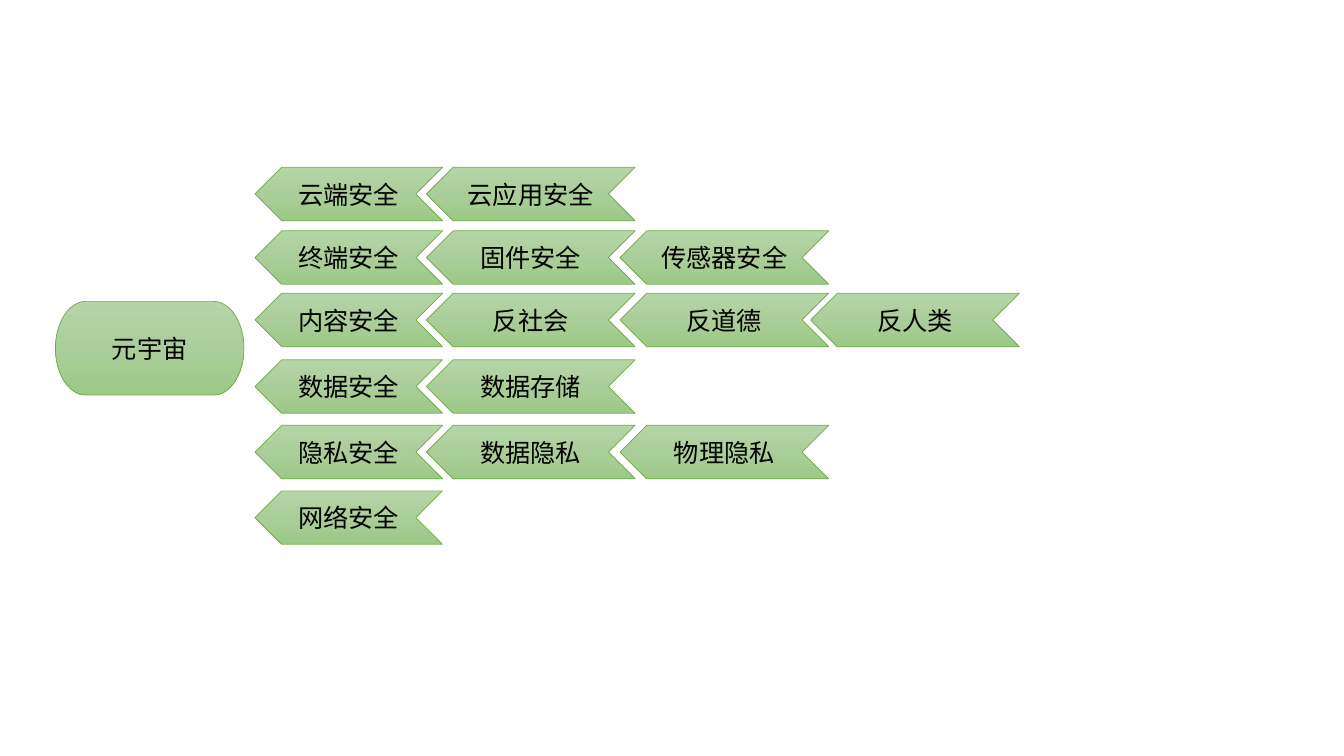
import copy

import pptx
import pptx.dml.color
import pptx.enum.shapes
import pptx.enum.text
import pptx.util

RGBColor = pptx.dml.color.RGBColor
Inches = pptx.util.Inches
Shapes = pptx.enum.shapes.MSO_SHAPE

BLACK = RGBColor(0x00, 0x00, 0x00)
GREEN_LINE = RGBColor(0x70, 0xAD, 0x47)
GREEN_STOPS = [
    (0, RGBColor(0xB5, 0xD5, 0xA7)),
    (0.5, RGBColor(0xAA, 0xCE, 0x9A)),
    (1, RGBColor(0x9C, 0xC9, 0x87)),
]
FONT_FORMAT = {"name": "Calibri", "size": pptx.util.Pt(18)}
FRAME_FORMAT = {
    "word_wrap": True,
    "vertical_anchor": pptx.enum.text.MSO_ANCHOR.MIDDLE,
}


def fill_green(shape):
    """Give a shape the three-stop green gradient, light at the top."""
    shape.fill.gradient()
    shape.fill.gradient_angle = 270
    stop_list = shape._element.spPr.xpath(".//a:gsLst")[0]
    stop_list.insert(1, copy.deepcopy(stop_list[0]))
    for stop, (position, color) in zip(shape.fill.gradient_stops, GREEN_STOPS):
        stop.position = position
        stop.color.rgb = color


def add_label(slide, kind, left, top, width, height, text):
    """Add a green shape with centred black text and return it."""
    shape = slide.shapes.add_shape(
        kind, Inches(left), Inches(top), Inches(width), Inches(height)
    )
    shape.shadow.inherit = False
    fill_green(shape)
    shape.line.color.rgb = GREEN_LINE
    shape.line.width = pptx.util.Pt(0.5)
    for name, value in FRAME_FORMAT.items():
        setattr(shape.text_frame, name, value)
    para = shape.text_frame.paragraphs[0]
    para.alignment = pptx.enum.text.PP_ALIGN.CENTER
    span = para.add_run()
    span.text = text
    for name, value in FONT_FORMAT.items():
        setattr(span.font, name, value)
    span.font.color.rgb = BLACK
    return shape


deck = pptx.Presentation()
deck.slide_width = Inches(13.33)
deck.slide_height = Inches(7.5)
slide = deck.slides.add_slide(deck.slide_layouts[6])

add_label(slide, Shapes.FLOWCHART_TERMINATOR, 0.55, 2.99, 1.87, 0.93, "元宇宙")

# Left edge and width of each chevron column
COLUMNS = [(2.53, 1.86), (4.23, 2.07), (6.15, 2.07), (8.04, 2.07)]
CHEVRON_HEIGHT = 0.53

# Top edge of each row, then its security area and the topics under it
ROWS = [
    (1.66, ["云端安全", "云应用安全"]),
    (2.29, ["终端安全", "固件安全", "传感器安全"]),
    (2.91, ["内容安全", "反社会", "反道德", "反人类"]),
    (3.57, ["数据安全", "数据存储"]),
    (4.22, ["隐私安全", "数据隐私", "物理隐私"]),
    (4.87, ["网络安全"]),
]

for top, topics in ROWS:
    for (left, width), topic in zip(COLUMNS, topics):
        chevron = add_label(
            slide, Shapes.CHEVRON, left, top, width, CHEVRON_HEIGHT, topic
        )
        chevron._element.spPr.xfrm.set("flipH", "1")

deck.save("out.pptx")
